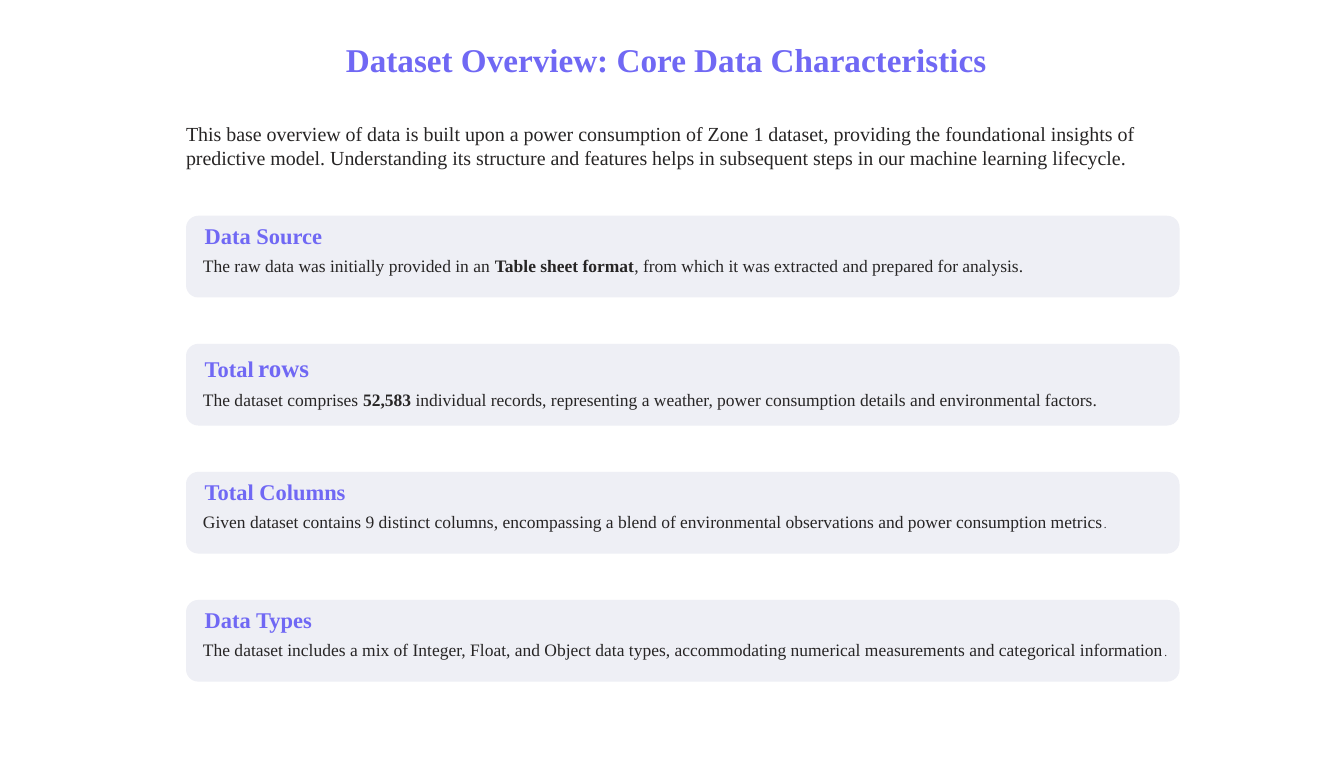
from pptx import Presentation
from pptx.dml.color import RGBColor
from pptx.enum.shapes import MSO_SHAPE
from pptx.util import Cm, Pt

ROUNDED = MSO_SHAPE.ROUNDED_RECTANGLE
FONT = "Times New Roman"
PURPLE, INK, CARD_FILL = "7068F4", "272525", "EEEFF5"
LEFT, WIDTH = 5.26, 28.09
CARD_TOP, CARD_HEIGHT, CARD_PITCH = 6.1, 2.31, 3.62

TITLE = "Dataset Overview: Core Data Characteristics"
INTRO = (
    "This base overview of data is built upon a power consumption of Zone 1 dataset, "
    "providing the foundational insights of predictive model. Understanding its structure "
    "and features helps in subsequent steps in our machine learning lifecycle."
)
BOLD = {"bold": True}
SMALL = {"size": 9}
CARDS = [
    (0.51, [("Data Source", {})], [
        ("The raw data was initially provided in an ", {}),
        ("Table sheet format", BOLD),
        (", from which it was extracted and prepared for analysis.", {}),
    ]),
    (0.67, [("Total", {}), (" ", {"size": 14}), ("rows", {"size": 20})], [
        ("The dataset comprises ", {}),
        ("52,583", BOLD),
        (" individual records, representing a weather, power consumption details "
         "and environmental factors.", {}),
    ]),
    (0.51, [("Total Columns", {})], [
        ("Given dataset contains 9 distinct columns, encompassing a blend of environmental "
         "observations and power consumption metrics", {}),
        (".", SMALL),
    ]),
    (0.51, [("Data Types", {})], [
        ("The dataset includes a mix of Integer, Float, and Object data types, accommodating "
         "numerical measurements and categorical information", {}),
        (".", SMALL),
    ]),
]


def color(hex_text):
    """Turn a hex string into a colour."""
    return RGBColor.from_string(hex_text)


def add_text(slide, box, runs, size, hex_text=INK, bold=False, spacing=None):
    """Place one paragraph of (text, overrides) runs in a box given in centimetres."""
    shape = slide.shapes.add_textbox(*map(Cm, box))
    frame = shape.text_frame
    frame.word_wrap = True
    frame.margin_left = frame.margin_right = frame.margin_top = frame.margin_bottom = 0
    paragraph = frame.paragraphs[0]
    if spacing:
        paragraph.line_spacing = Pt(spacing)
    for text, overrides in runs:
        run = paragraph.add_run()
        run.text = text
        run.font.name = FONT
        run.font.size = Pt(overrides.get("size", size))
        run.font.bold = overrides.get("bold", bold)
        run.font.color.rgb = color(hex_text)


def add_header(slide, left, top, width):
    """Draw the slide title and the introduction below it."""
    add_text(slide, (left + 4.52, top, 18.47, 1.57), [(TITLE, {})], 26.6, PURPLE,
             bold=True, spacing=24.5)
    add_text(slide, (left, top + 2.08, width, 1.57), [(INTRO, {})], 16)


def add_card(slide, left, top, width, height, offset, heading, body):
    """Draw a rounded card with its heading and one line of body text."""
    card = slide.shapes.add_shape(ROUNDED, Cm(left), Cm(top), Cm(width), Cm(height))
    card.adjustments[0] = 0.15
    card.shadow.inherit = False
    card.fill.solid()
    card.fill.fore_color.rgb = color(CARD_FILL)
    card.line.fill.background()
    add_text(slide, (left + 0.53, top + offset, 8, 0.43), heading, 18, PURPLE,
             bold=True, spacing=12)
    add_text(slide, (left + 0.48, top + offset + 0.79, width - 0.48, 0.43), body, 14,
             spacing=11.5)


def main():
    """Build the dataset overview slide and save it."""
    presentation = Presentation()
    presentation.slide_width, presentation.slide_height = Cm(38), Cm(22.05)
    slide = presentation.slides.add_slide(presentation.slide_layouts[6])
    add_header(slide, LEFT, 1.37, WIDTH)
    for index, (offset, heading, body) in enumerate(CARDS):
        add_card(slide, LEFT, CARD_TOP + index * CARD_PITCH, WIDTH, CARD_HEIGHT,
                 offset, heading, body)
    presentation.save("out.pptx")


if __name__ == "__main__":
    main()
